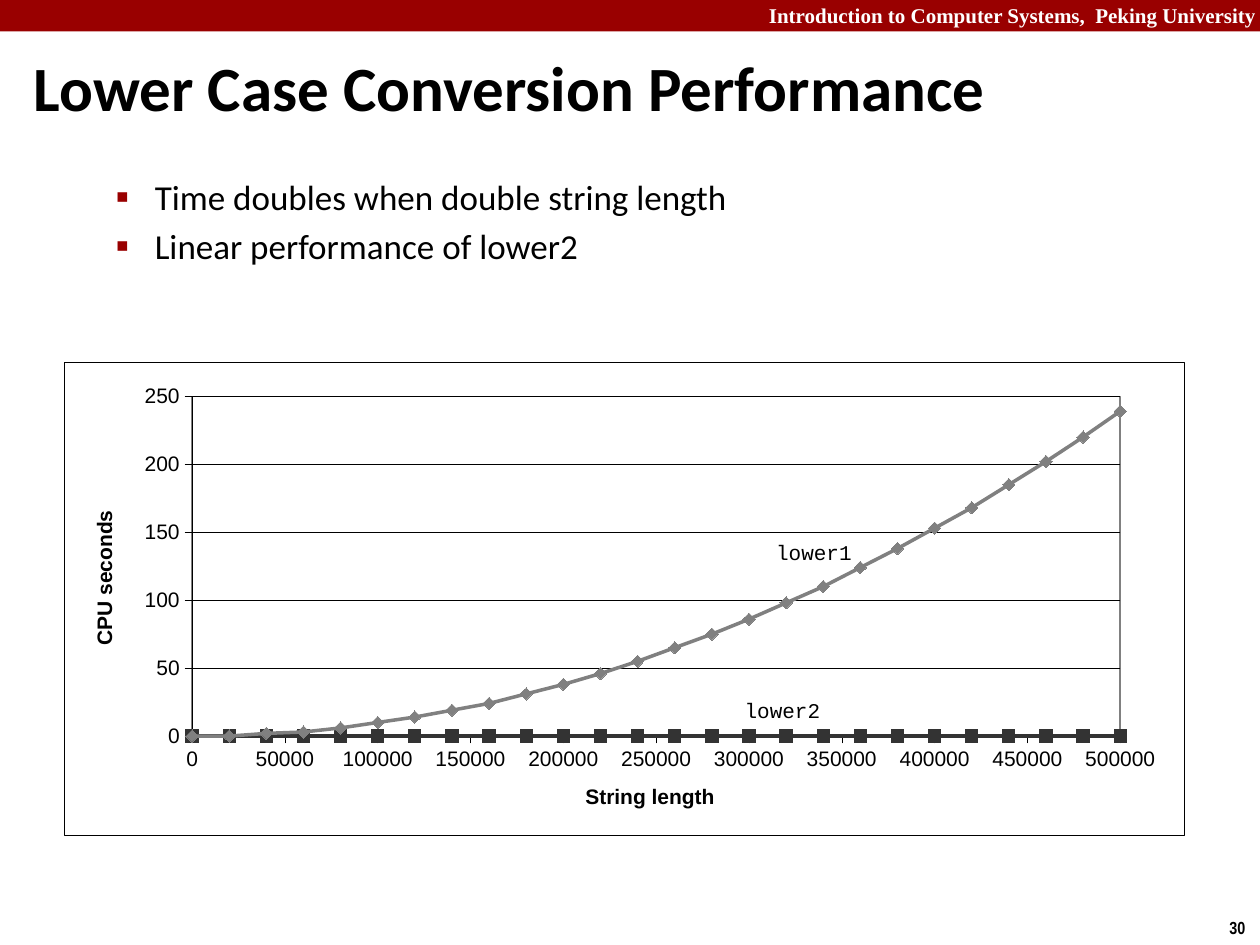
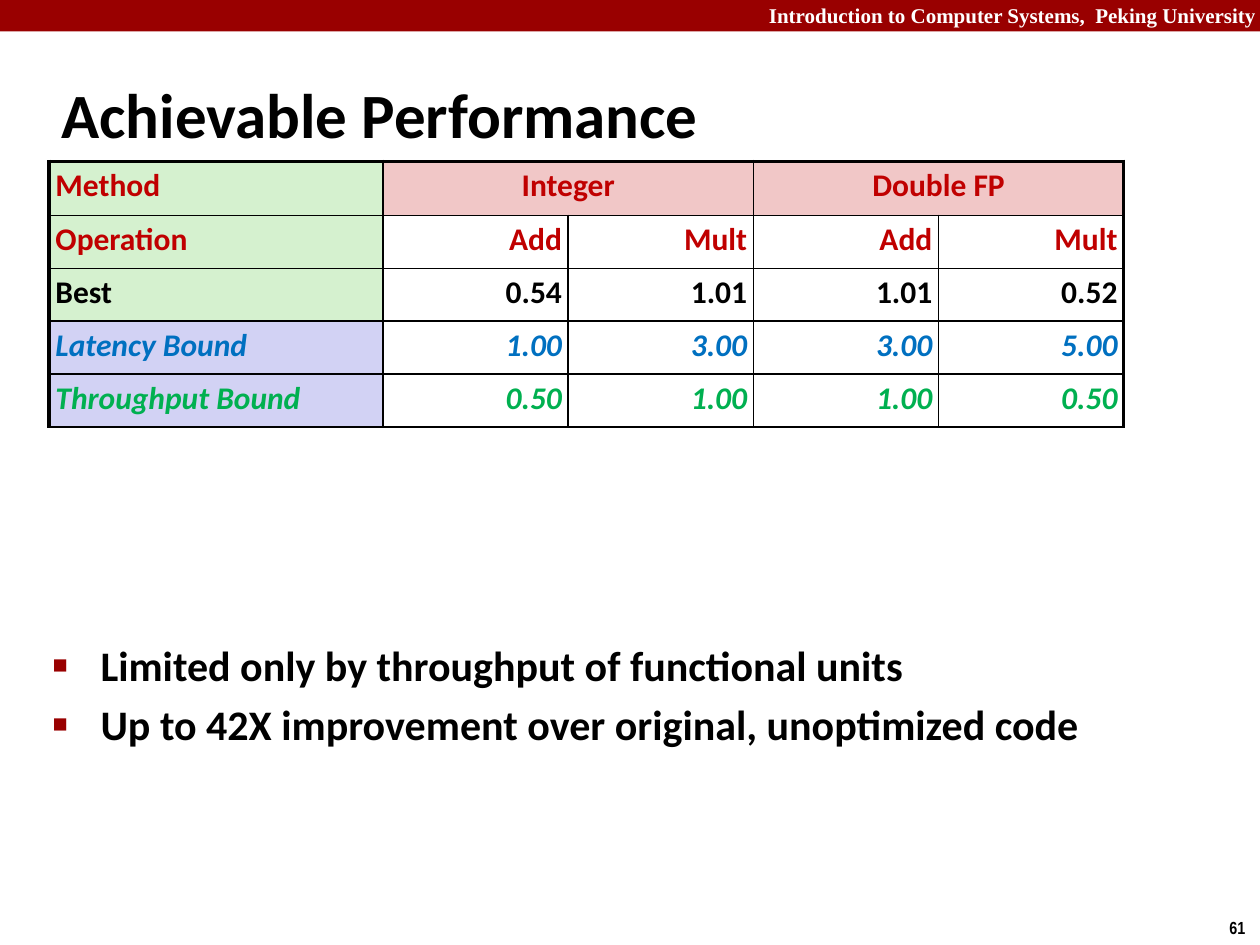
import pptx
import pptx.chart.data
import pptx.dml.color
import pptx.enum.chart
import pptx.enum.shapes
import pptx.enum.text
import pptx.oxml
import pptx.oxml.ns
import pptx.util
from lxml import etree

RED, BLACK, WHITE = "990000", "000000", "FFFFFF"
ALIGN = pptx.enum.text.PP_ALIGN
ANCHOR = pptx.enum.text.MSO_ANCHOR
qn = pptx.oxml.ns.qn

presentation = pptx.Presentation()
presentation.slide_width = pptx.util.Inches(10)
presentation.slide_height = pptx.util.Inches(7.5)
# The slide is a grid of 100 columns by 100 rows
COLUMN = presentation.slide_width // 100
ROW = presentation.slide_height // 100


def rgb(color):
    return pptx.dml.color.RGBColor.from_string(color)


def add_text(slide, box, lines, size, font="Calibri", color=BLACK, bold=False,
             align=ALIGN.LEFT, anchor=ANCHOR.TOP, wrap=True, inset=None, bullet=None):
    left, top, width, height = box
    shape = slide.shapes.add_textbox(int(left * COLUMN), int(top * ROW),
                                     int(width * COLUMN), int(height * ROW))
    frame = shape.text_frame
    frame.word_wrap = wrap
    frame.vertical_anchor = anchor
    if inset is not None:
        frame.margin_left = frame.margin_top = pptx.util.Inches(inset)
        frame.margin_right = frame.margin_bottom = 0
    for index, line in enumerate(lines):
        paragraph = frame.paragraphs[0] if index == 0 else frame.add_paragraph()
        paragraph.alignment = align
        if index:
            paragraph.space_before = pptx.util.Pt(size * 0.2)
        if bullet:
            symbol, percent, indent, hanging = bullet
            properties = paragraph._p.get_or_add_pPr()
            properties.set("marL", str(pptx.util.Inches(indent)))
            properties.set("indent", str(-pptx.util.Inches(hanging)))
            bullet_color = etree.SubElement(properties, qn("a:buClr"))
            etree.SubElement(bullet_color, qn("a:srgbClr"), val=RED)
            etree.SubElement(properties, qn("a:buSzPct"), val=str(percent * 1000))
            etree.SubElement(properties, qn("a:buFont"), typeface="Arial")
            etree.SubElement(properties, qn("a:buChar"), char=symbol)
        run = paragraph.add_run()
        run.text = line
        run.font.name, run.font.size, run.font.bold = font, pptx.util.Pt(size), bold
        run.font.color.rgb = rgb(color)


# Shared parts: band, course name, page number, title, bullets
pages = [
    ("30", "Lower Case Conversion Performance", (1.7, 4.93, 95.8, 8.4),
     ["Time doubles when double string length", "Linear performance of lower2"],
     (3.2, 17.87, 90.9, 13.2), 20, False, ("▪", 110, 0.81, 0.31)),
    ("61", "Achievable Performance", (3.9, 6.4, 83, 11.07),
     ["Limited only by throughput of functional units",
      "Up to 42X improvement over original, unoptimized code"],
     (3.2, 67.07, 90.9, 27.33), 24, True, ("■", 60, 0.38, 0.38)),
]
slides = []
for number, title, title_box, points, body_box, size, bold, bullet in pages:
    slide = presentation.slides.add_slide(presentation.slide_layouts[6])
    slides.append(slide)
    band = slide.shapes.add_shape(pptx.enum.shapes.MSO_SHAPE.RECTANGLE, 0, 0,
                                  presentation.slide_width, int(3.33 * ROW))
    band.shadow.inherit = False
    band.fill.solid()
    band.fill.fore_color.rgb = rgb(RED)
    band.line.fill.background()
    add_text(slide, (60, -0.4, 40.7, 4), ["Introduction to Computer Systems,  Peking University"],
             12, "Times New Roman", WHITE, True, ALIGN.RIGHT)
    add_text(slide, (96.6, 96.4, 3.4, 3.6), [number], 10, "Arial Narrow", bold=True, wrap=False)
    add_text(slide, title_box, [title], 36, bold=True, anchor=ANCHOR.MIDDLE)
    add_text(slide, body_box, points, size, bold=bold, bullet=bullet)
chart_slide, table_slide = slides

# Chart: CPU time against string length
lower1 = [0, 0, 2, 3, 6, 10, 14, 19, 24, 31, 38, 46, 55, 65, 75, 86, 98,
          110, 124, 138, 153, 168, 185, 202, 220, 239]
data = pptx.chart.data.XyChartData()
for name, seconds in (("Series 1", lower1), ("Series 2", [0] * len(lower1))):
    series = data.add_series(name)
    for step, value in enumerate(seconds):
        series.add_data_point(step * 20000, value)
chart = chart_slide.shapes.add_chart(
    pptx.enum.chart.XL_CHART_TYPE.XY_SCATTER_SMOOTH, int(5.1 * COLUMN), int(38.27 * ROW),
    int(88.9 * COLUMN), int(50.13 * ROW), data).chart
chart.has_legend = chart.has_title = False
chart.font.name, chart.font.size = "Arial", pptx.util.Pt(12)
chart.font.color.rgb = rgb(BLACK)
chart.plots[0].vary_by_categories = False

MARKER = pptx.enum.chart.XL_MARKER_STYLE
for series, color, style in zip(chart.plots[0].series, ("808080", "333333"),
                                (MARKER.DIAMOND, MARKER.SQUARE)):
    series.smooth = True
    series.format.line.width = pptx.util.Pt(2)
    series.format.line.color.rgb = rgb(color)
    series.marker.style, series.marker.size = style, 7
    series.marker.format.fill.solid()
    series.marker.format.fill.fore_color.rgb = rgb(color)
    series.marker.format.line.color.rgb = rgb(color)

for axis, title, maximum, unit in ((chart.category_axis, "String length", 500000, 50000),
                                   (chart.value_axis, "CPU seconds", 250, 50)):
    axis.minimum_scale, axis.maximum_scale, axis.major_unit = 0, maximum, unit
    axis.major_tick_mark = pptx.enum.chart.XL_TICK_MARK.OUTSIDE
    axis.minor_tick_mark = pptx.enum.chart.XL_TICK_MARK.NONE
    axis.has_major_gridlines = axis is not chart.category_axis and unit == 50
    axis.format.line.width = pptx.util.Pt(0.25)
    axis.format.line.color.rgb = rgb(BLACK)
    axis.tick_labels.number_format = "0"
    axis.tick_labels.number_format_is_linked = False
    run = axis.axis_title.text_frame.paragraphs[0].add_run()
    run.text = title
    run.font.name, run.font.size, run.font.bold = "Arial", pptx.util.Pt(12), True
    run.font.color.rgb = rgb(BLACK)
gridline = chart.value_axis.major_gridlines.format.line
gridline.width = pptx.util.Pt(0.25)
gridline.color.rgb = rgb(BLACK)

# Plot position, plot frame and chart frame
NAMESPACES = pptx.oxml.ns.nsdecls("c", "a")
chart_part = chart._chartSpace.find(qn("c:chart"))
plot_area = chart_part.find(qn("c:plotArea"))
for layout in plot_area.findall(qn("c:layout")):
    plot_area.remove(layout)
shares = "".join(f'<c:{key} val="{value}"/>' for key, value in
                 (("x", 0.114), ("y", 0.073), ("w", 0.829), ("h", 0.718)))
plot_area.insert(0, pptx.oxml.parse_xml(
    f'<c:layout {NAMESPACES}><c:manualLayout><c:layoutTarget val="inner"/>'
    f'<c:xMode val="edge"/><c:yMode val="edge"/>{shares}</c:manualLayout></c:layout>'))
frame_xml = (f'<c:spPr {NAMESPACES}><a:solidFill><a:srgbClr val="{WHITE}"/></a:solidFill>'
             '<a:ln w="{}"><a:solidFill><a:srgbClr val="{}"/></a:solidFill></a:ln></c:spPr>')
plot_area.append(pptx.oxml.parse_xml(frame_xml.format(pptx.util.Pt(1), "808080")))
chart_part.addnext(pptx.oxml.parse_xml(frame_xml.format(pptx.util.Pt(0.25), BLACK)))

# Curve labels
for label, left, top in (("lower1", 61.3, 56.67), ("lower2", 58.8, 73.47)):
    add_text(chart_slide, (left, top, 6.4, 3.2), [label], 12, "Courier New",
             wrap=False, inset=0.03)

# Table: best results and their bounds
GREEN, PINK, LILAC, HEADING = "D5F1CF", "F1C7C7", "D2D2F4", "C00000"
rows = [
    (["Method", "Integer", "", "Double FP", ""], GREEN, HEADING, False),
    (["Operation", "Add", "Mult", "Add", "Mult"], GREEN, HEADING, False),
    (["Best", "0.54", "1.01", "1.01", "0.52"], GREEN, BLACK, False),
    (["Latency Bound", "1.00", "3.00", "3.00", "5.00"], LILAC, "0070C0", True),
    (["Throughput Bound", "0.50", "1.00", "1.00", "0.50"], LILAC, "00B050", True),
]
table = table_slide.shapes.add_table(5, 5, int(3.9 * COLUMN), int(17.07 * ROW),
                                     int(85.3 * COLUMN), int(28.13 * ROW)).table
table.first_row = table.horz_banding = False
for index in range(5):
    table.columns[index].width = int((14.7 if index else 26.5) * COLUMN)
    table.rows[index].height = int((5.6 if index else 5.73) * ROW)
for first in (1, 3):
    table.cell(0, first).merge(table.cell(0, first + 1))

for row, (texts, label_fill, color, italic) in enumerate(rows):
    for column, text in enumerate(texts):
        cell = table.cell(row, column)
        cell.margin_left = cell.margin_right = pptx.util.Inches(0.05)
        cell.margin_top = cell.margin_bottom = pptx.util.Inches(0.05)
        if column and row:
            cell.fill.background()
        else:
            cell.fill.solid()
            cell.fill.fore_color.rgb = rgb(PINK if column else label_fill)
        if text:
            paragraph = cell.text_frame.paragraphs[0]
            paragraph.line_spacing = 0.95
            paragraph.alignment = (ALIGN.LEFT if column == 0 else
                                   ALIGN.CENTER if row == 0 else ALIGN.RIGHT)
            run = paragraph.add_run()
            run.text = text
            run.font.name, run.font.size = "Calibri", pptx.util.Pt(18)
            run.font.bold, run.font.italic = True, italic
            run.font.color.rgb = rgb(color)
        # Thick borders on the left, right and top of the table
        sides = (("L", column == 0), ("R", column + cell.span_width == 5),
                 ("T", row == 0), ("B", False))
        for position, (side, thick) in enumerate(sides):
            width = pptx.util.Pt(2.25 if thick else 1)
            cell._tc.get_or_add_tcPr().insert(position, pptx.oxml.parse_xml(
                f'<a:ln{side} {NAMESPACES} w="{width}"><a:solidFill>'
                f'<a:srgbClr val="{BLACK}"/></a:solidFill></a:ln{side}>'))

presentation.save("out.pptx")
